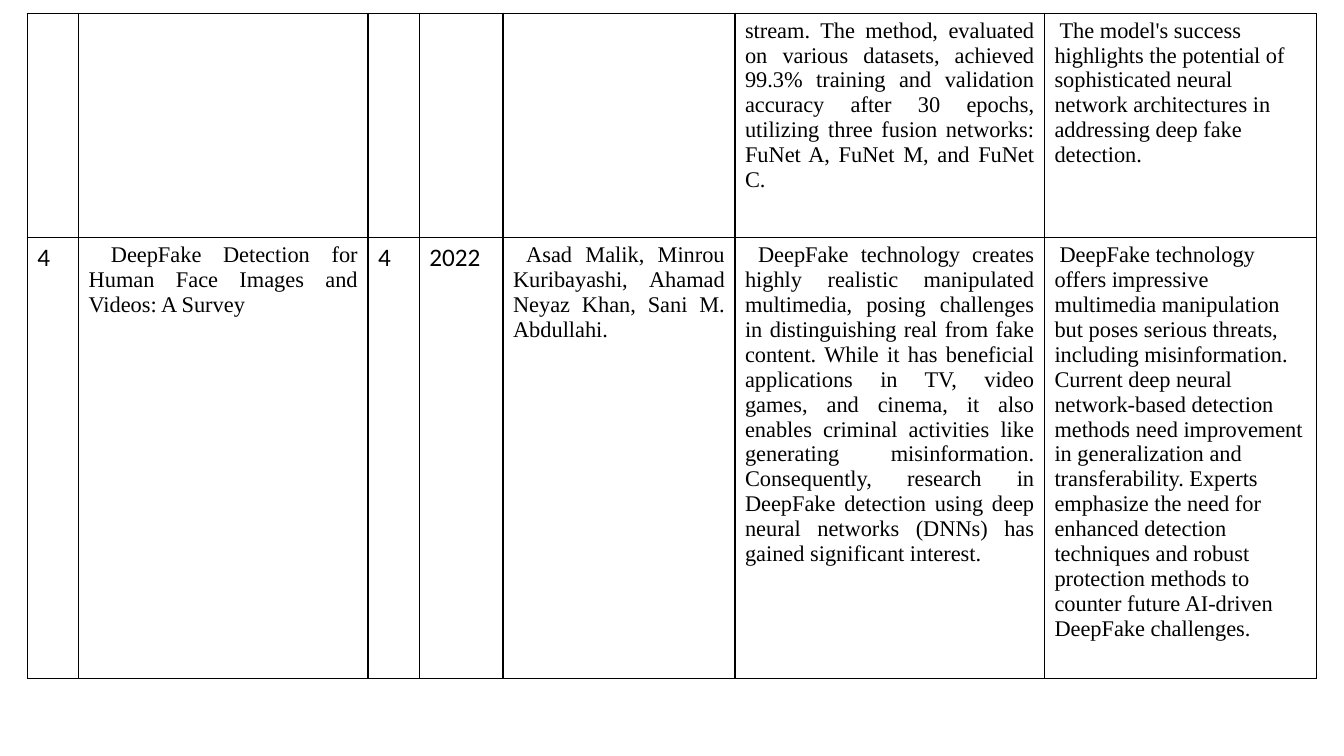
"""Build a literature survey slide holding one ruled table."""
from dataclasses import dataclass
from typing import Optional

from lxml.etree import SubElement
from pptx import Presentation
from pptx.dml.color import RGBColor
from pptx.enum.text import PP_ALIGN as Align
from pptx.oxml.ns import qn
from pptx.table import Table, _Cell as Cell
from pptx.util import Inches, Pt


@dataclass(frozen=True)
class Theme:
    ink: str = "000000"
    rule: float = 1
    serif: str = "Times New Roman"
    sans: str = "Calibri"
    body: int = 16
    number: int = 18


@dataclass(frozen=True)
class Grid:
    columns: int = 1333
    rows: int = 750
    left: int = 27
    top: int = 13
    widths: tuple[int, ...] = (51, 287, 51, 83, 230, 307, 270)
    heights: tuple[int, ...] = (223, 437)


@dataclass(frozen=True)
class Entry:
    text: str
    align: Align = Align.LEFT
    indent: int = 0
    numeric: bool = False


THEME = Theme()
GRID = Grid()
SLIDE_WIDTH, SLIDE_HEIGHT = Inches(13.33), Inches(7.5)
SIDES = ("L", "R", "T", "B")

ROWS: list[list[Optional[Entry]]] = [
    [
        None, None, None, None, None,
        Entry("stream. The method, evaluated on various datasets, achieved 99.3% training and "
              "validation accuracy after 30 epochs, utilizing three fusion networks: FuNet A, "
              "FuNet M, and FuNet C.", Align.JUSTIFY),
        Entry("The model's success highlights the potential of sophisticated neural network "
              "architectures in addressing deep fake detection.", indent=5),
    ],
    [
        Entry("4", numeric=True),
        Entry("DeepFake Detection for Human Face Images and Videos: A Survey",
              Align.JUSTIFY, 22),
        Entry("4", numeric=True),
        Entry("2022", numeric=True),
        Entry("Asad Malik, Minrou Kuribayashi, Ahamad Neyaz Khan, Sani M. Abdullahi.",
              Align.JUSTIFY, 13),
        Entry("DeepFake technology creates highly realistic manipulated multimedia, posing "
              "challenges in distinguishing real from fake content. While it has beneficial "
              "applications in TV, video games, and cinema, it also enables criminal activities "
              "like generating misinformation. Consequently, research in DeepFake detection "
              "using deep neural networks (DNNs) has gained significant interest.",
              Align.JUSTIFY, 13),
        Entry("DeepFake technology offers impressive multimedia manipulation but poses serious "
              "threats, including misinformation. Current deep neural network-based detection "
              "methods need improvement in generalization and transferability. Experts "
              "emphasize the need for enhanced detection techniques and robust protection "
              "methods to counter future AI-driven DeepFake challenges.", indent=5),
    ],
]


def across(columns: int) -> int:
    """Turn grid columns into a slide length."""
    return round(SLIDE_WIDTH * columns / GRID.columns)


def down(rows: int) -> int:
    """Turn grid rows into a slide length."""
    return round(SLIDE_HEIGHT * rows / GRID.rows)


def rule_cell(cell: Cell) -> None:
    """Draw a thin rule on every side of a cell without a fill."""
    properties = cell._tc.get_or_add_tcPr()
    for side in SIDES:
        line = SubElement(properties, qn(f"a:ln{side}"), w=str(Pt(THEME.rule)))
        fill = SubElement(line, qn("a:solidFill"))
        SubElement(fill, qn("a:srgbClr"), val=THEME.ink)
    cell.fill.background()


def write_entry(cell: Cell, entry: Entry) -> None:
    """Write one entry into a cell."""
    para = cell.text_frame.paragraphs[0]
    para.alignment = entry.align
    para._p.get_or_add_pPr().set("indent", str(across(entry.indent)))
    span = para.add_run()
    span.text = entry.text
    formats = {
        "name": THEME.sans if entry.numeric else THEME.serif,
        "size": Pt(THEME.number if entry.numeric else THEME.body),
    }
    for name, value in formats.items():
        setattr(span.font, name, value)
    span.font.color.rgb = RGBColor.from_string(THEME.ink)


def fill_table(table: Table) -> None:
    """Size the table on the grid and fill its cells."""
    for flag, value in {"first_row": False, "horz_banding": False}.items():
        setattr(table, flag, value)
    for column, width in zip(table.columns, GRID.widths):
        column.width = across(width)
    for row, height, entries in zip(table.rows, GRID.heights, ROWS):
        row.height = down(height)
        for cell, entry in zip(row.cells, entries):
            rule_cell(cell)
            if entry:
                write_entry(cell, entry)


def main() -> None:
    """Build and save the deck."""
    deck = Presentation()
    deck.slide_width, deck.slide_height = SLIDE_WIDTH, SLIDE_HEIGHT
    page = deck.slides.add_slide(deck.slide_layouts[6])
    frame = page.shapes.add_table(
        len(GRID.heights), len(GRID.widths), across(GRID.left), down(GRID.top),
        across(sum(GRID.widths)), down(sum(GRID.heights)))
    fill_table(frame.table)
    deck.save("out.pptx")


if __name__ == "__main__":
    main()
